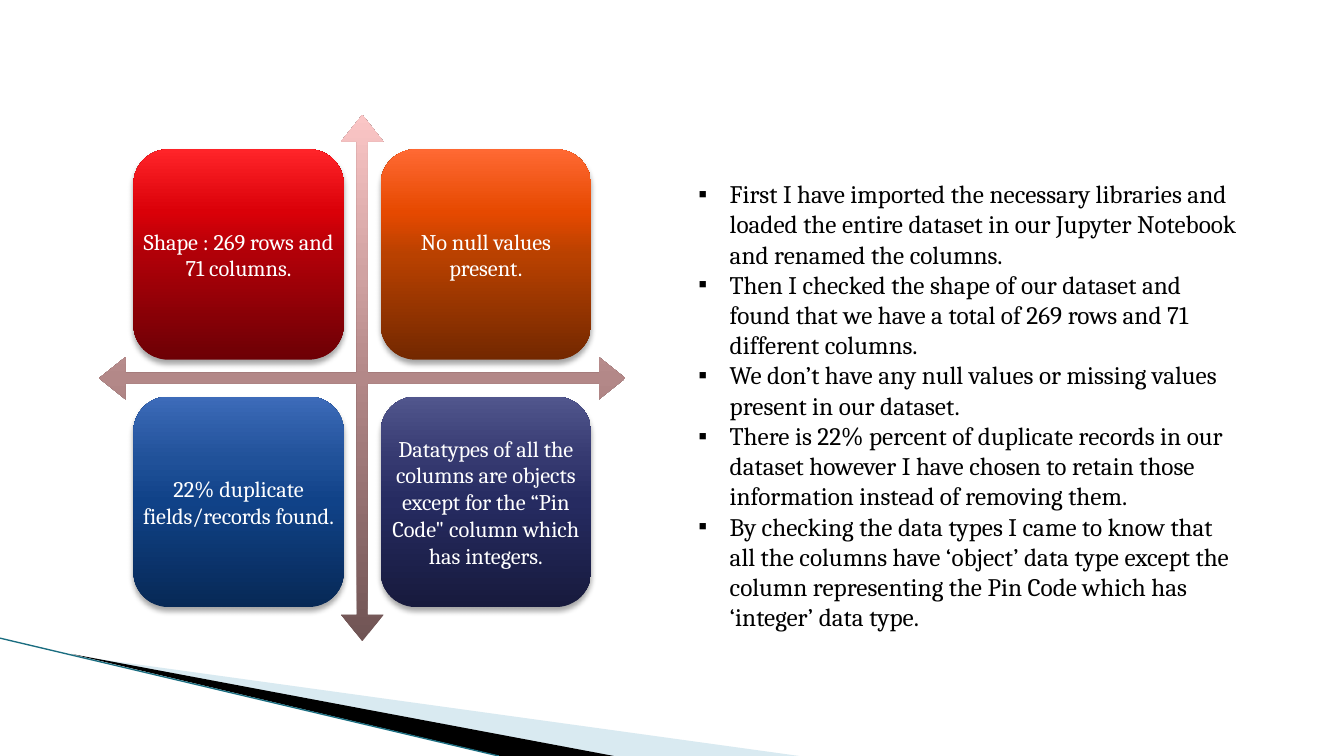
from lxml import etree
from pptx import Presentation
from pptx.dml.color import RGBColor
from pptx.enum.shapes import MSO_CONNECTOR, MSO_SHAPE
from pptx.enum.text import MSO_ANCHOR as Anchor, MSO_AUTO_SIZE as AutoSize, PP_ALIGN as Align
from pptx.oxml.ns import qn
from pptx.util import Cm, Pt

FONT = "Cambria"
STOPS = (0, 50, 70, 100)
ARROW_TINTS = ("705454", "B38888", "D0A2A2", "FBC6C6")
FINDINGS = [
    ("Shape : 269 rows and 71 columns.", ("6D0005", "B00008", "DA0008", "FF2429")),
    ("No null values present.", ("732800", "B94100", "E64900", "FF6933")),
    ("22% duplicate fields/records found.", ("072956", "104288", "205199", "3D6BB9")),
    ("Datatypes of all the columns are objects except for the “Pin Code\" column which has integers.",
     ("171A3D", "262B61", "353970", "51568D")),
]
STEPS = [
    "First I have imported the necessary libraries and loaded the entire dataset in our "
    "Jupyter Notebook and renamed the columns.",
    "Then I checked the shape of our dataset and found that we have a total of 269 rows "
    "and 71 different columns.",
    "We don’t have any null values or missing values present in our dataset.",
    "There is 22% percent of duplicate records in our dataset however I have chosen to "
    "retain those information instead of removing them.",
    "By checking the data types I came to know that all the columns have ‘object’ data type "
    "except the column representing the Pin Code which has ‘integer’ data type.",
]


def color(value):
    return RGBColor.from_string(value)


def add_xml(parent, tag, **attributes):
    child = etree.SubElement(parent, qn(tag))
    for name, value in attributes.items():
        child.set(name, str(value))
    return child


def fill_gradient(shape, tints):
    """Fill from the bottom (first tint) to the top (last tint)."""
    shape.fill.gradient()
    shape.fill.gradient_angle = 90
    stop_list = shape.fill._fill._gradFill.find(qn("a:gsLst"))
    for stop in list(stop_list):
        stop_list.remove(stop)
    for position, tint in zip(STOPS, tints):
        stop = add_xml(stop_list, "a:gs", pos=position * 1000)
        add_xml(stop, "a:srgbClr", val=tint)


def add_drop_shadow(shape):
    effects = shape._element.spPr.find(qn("a:effectLst"))
    shadow = add_xml(effects, "a:outerShdw", blurRad=Pt(4), dist=Pt(3), dir=90 * 60000,
                     algn="ctr", rotWithShape=0)
    add_xml(add_xml(shadow, "a:srgbClr", val="000000"), "a:alpha", val=35000)


def add_preset(slide, preset, left, top, size, tints):
    shape = slide.shapes.add_shape(preset, left, top, size, size)
    shape.shadow.inherit = False
    shape.line.fill.background()
    fill_gradient(shape, tints)
    return shape


def add_text(slide, paragraphs, left, top, width, height, *, size, ink="000000",
             align=Align.LEFT, anchor=Anchor.TOP, inset=None, bullet=None,
             indent=Cm(0.79), auto_size=AutoSize.NONE):
    box = slide.shapes.add_textbox(left, top, width, height)
    frame = box.text_frame
    frame.word_wrap = True
    frame.auto_size = auto_size
    frame.vertical_anchor = anchor
    if inset is not None:
        frame.margin_left = frame.margin_right = inset
        frame.margin_top = frame.margin_bottom = inset
    for index, text in enumerate(paragraphs):
        paragraph = frame.add_paragraph() if index else frame.paragraphs[0]
        paragraph.alignment = align
        if bullet:
            properties = paragraph._p.get_or_add_pPr()
            properties.set("marL", str(indent))
            properties.set("indent", str(-indent))
            add_xml(properties, "a:buFont", typeface="Arial")
            add_xml(properties, "a:buChar", char=bullet)
        run = paragraph.add_run()
        run.text = text
        run.font.name = FONT
        run.font.size = Pt(size)
        run.font.color.rgb = color(ink)
    return box


def add_wedge(slide, points, tint, opacity=100):
    start, *others = [(Cm(x), Cm(y)) for x, y in points]
    builder = slide.shapes.build_freeform(*start)
    builder.add_line_segments(others, close=True)
    wedge = builder.convert_to_shape()
    wedge.shadow.inherit = False
    wedge.line.fill.background()
    wedge.fill.solid()
    wedge.fill.fore_color.rgb = color(tint)
    if opacity < 100:
        srgb = wedge._element.spPr.find(qn("a:solidFill")).find(qn("a:srgbClr"))
        add_xml(srgb, "a:alpha", val=opacity * 1000)


def add_corner_decoration(slide, bottom):
    add_wedge(slide, [(1.85, bottom - 2.53), (20.14, bottom), (15.44, bottom)], "A0CBDC", 40)
    add_wedge(slide, [(1.8, bottom - 2.57), (15.47, bottom), (12.6, bottom)], "000000")
    edge = slide.shapes.add_connector(MSO_CONNECTOR.STRAIGHT, 0, Cm(bottom - 2.97),
                                      Cm(12.57), Cm(bottom))
    edge.line.color.rgb = color("1A6D80")
    edge.line.width = Pt(0.95)
    add_xml(edge._element.spPr, "a:effectLst")


def add_findings_matrix(slide, left, top, size):
    arrows = add_preset(slide, MSO_SHAPE.QUAD_ARROW, left, top, size, ARROW_TINTS)
    for index, ratio in enumerate((0.02, 0.04, 0.05)):
        arrows.adjustments[index] = ratio
    tile = int(size * 0.4)
    offsets = [int(size * share) for share in (0.065, 0.535)]
    for index, (finding, tints) in enumerate(FINDINGS):
        row, column = divmod(index, 2)
        x, y = left + offsets[column], top + offsets[row]
        add_drop_shadow(add_preset(slide, MSO_SHAPE.ROUNDED_RECTANGLE, x, y, tile, tints))
        add_text(slide, [finding], x, y, tile, tile, size=16, ink="FFFFFF",
                 align=Align.CENTER, anchor=Anchor.MIDDLE, inset=Cm(0.17))


def add_steps(slide, left, top, width, height):
    add_text(slide, STEPS, left, top, width, height, size=18, bullet="▪",
             auto_size=AutoSize.SHAPE_TO_FIT_TEXT)


def main():
    deck = Presentation()
    deck.slide_width, deck.slide_height = Cm(33.87), Cm(19.05)
    slide = deck.slides.add_slide(deck.slide_layouts[6])
    add_corner_decoration(slide, 19.05)
    add_findings_matrix(slide, Cm(2.5), Cm(2.9), Cm(13.26))
    add_steps(slide, Cm(17.35), Cm(4.37), Cm(14.17), Cm(11.79))
    deck.save("out.pptx")


if __name__ == "__main__":
    main()
